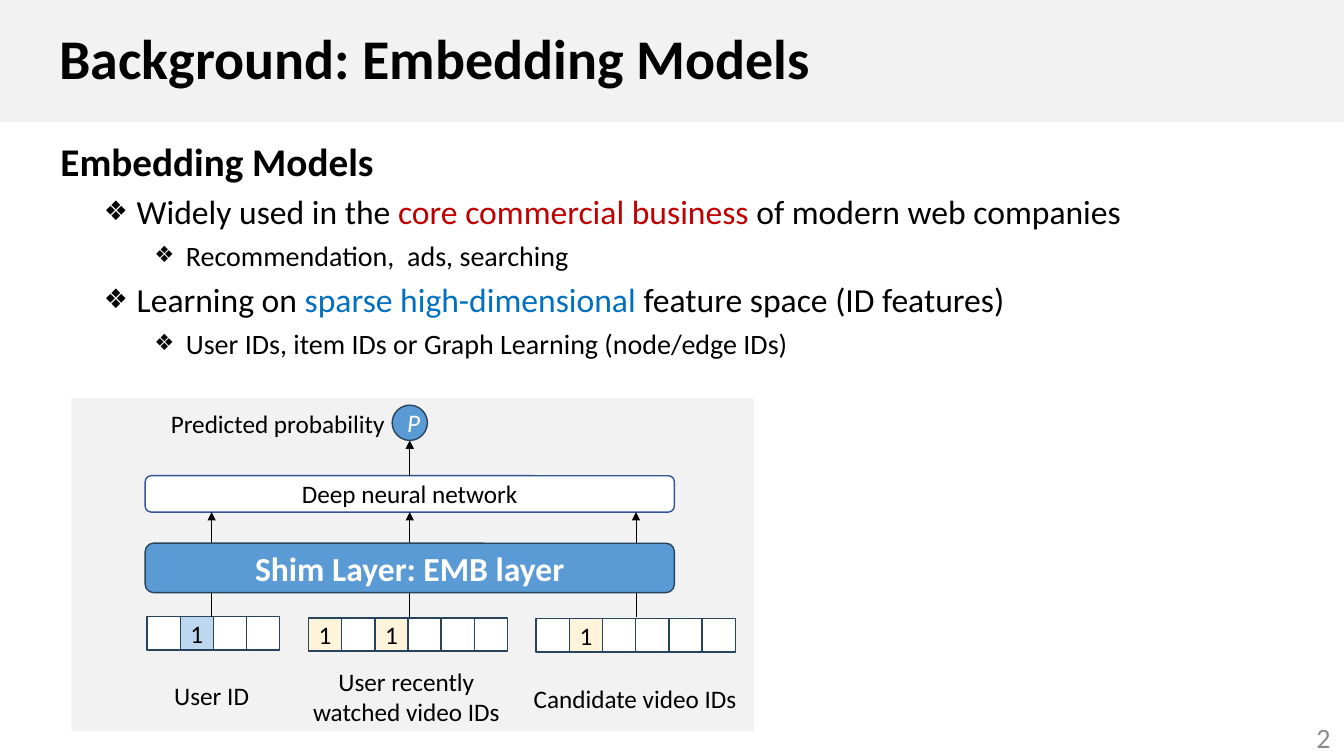
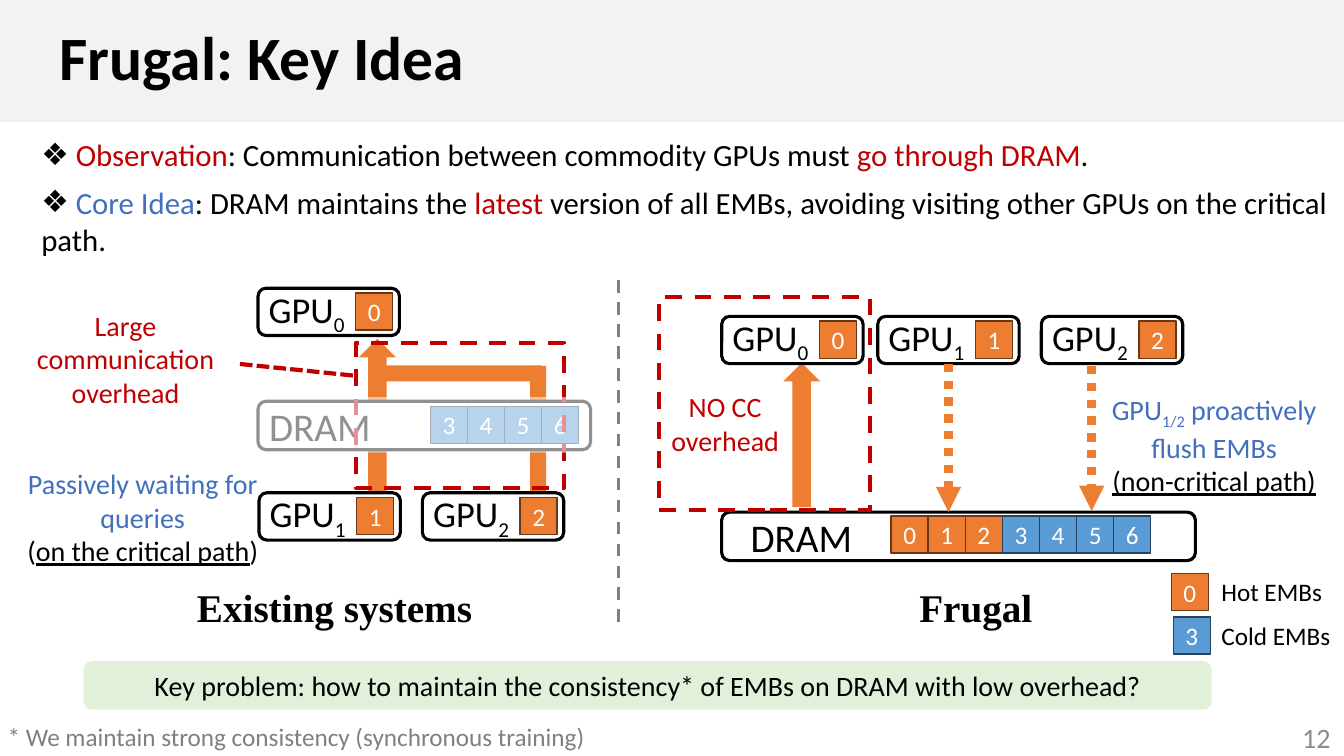
"""Build two slides on embedding models and the Frugal key idea."""
import pptx
import pptx.util
import pptx.dml.color
import pptx.enum.dml
import pptx.enum.shapes
import pptx.enum.text
import pptx.oxml.ns
import lxml.etree

Pt = pptx.util.Pt
qn = pptx.oxml.ns.qn
Kind = pptx.enum.shapes.MSO_SHAPE
Dash = pptx.enum.dml.MSO_LINE
Side = pptx.enum.text.PP_ALIGN
Mid = pptx.enum.text.MSO_ANCHOR
HUES = {
    "black": "000000", "white": "FFFFFF", "band": "F2F2F2", "number": "8C8C8C",
    "gray": "808080", "red": "C00000", "sky": "0070C0", "blue": "426FBE",
    "cold": "5B9BD5", "navy": "28445D", "net": "2F5597", "hot": "ED7D31",
    "brown": "683715", "pale": "BDD7EE", "cream": "FDF4D9", "green": "E2F0D9",
}
RGB = {name: pptx.dml.color.RGBColor.from_string(hue) for name, hue in HUES.items()}


def put(page, kind, x, y, w, h, text="", box=None, fill=None, edge=None, width=1,
        dash=None, size=18, tint="black", font="Calibri", bold=False, ital=False,
        align=Side.CENTER, pad=(7.2, 3.6, 7.2, 3.6), gap=0, lead=1, mid=None):
    """Place a shape, text box or given placeholder and format its text."""
    at = [Pt(n) for n in (x, y, w, h)]
    if box is not None:
        box.left, box.top, box.width, box.height = at
    elif kind is None:
        box = page.shapes.add_textbox(*at)
    else:
        box = page.shapes.add_shape(kind, *at)
        box.shadow.inherit = False
    if fill:
        box.fill.solid()
        box.fill.fore_color.rgb = RGB[fill]
    else:
        box.fill.background()
    if edge:
        box.line.color.rgb = RGB[edge]
        box.line.width = Pt(width)
        box.line.dash_style = dash
    else:
        box.line.fill.background()
    if not text:
        return box
    frame = box.text_frame
    frame.word_wrap = True
    frame.auto_size = pptx.enum.text.MSO_AUTO_SIZE.NONE
    if mid is None:
        mid = kind is not None
    frame.vertical_anchor = Mid.MIDDLE if mid else Mid.TOP
    (frame.margin_left, frame.margin_top,
     frame.margin_right, frame.margin_bottom) = [Pt(n) for n in pad]
    for row, runs in enumerate([text] if isinstance(text, str) else text):
        para = frame.add_paragraph() if row else frame.paragraphs[0]
        para.alignment = align
        para.line_spacing = lead
        para.space_before = Pt(gap if row else 0)
        for part in [runs] if isinstance(runs, str) else runs:
            words, form = (part, {}) if isinstance(part, str) else part
            run = para.add_run()
            run.text = words
            run.font.name = font
            run.font.size = Pt(form.get("size", size))
            run.font.bold = form.get("bold", bold)
            run.font.italic = ital
            run.font.underline = form.get("under", False)
            run.font.color.rgb = RGB[form.get("tint", tint)]
            if form.get("sub"):
                run._r.get_or_add_rPr().set("baseline", "-25000")
    return box


def link(page, x1, y1, x2, y2, tint, width, dash=None, head=False):
    """Draw a straight line, with an arrowhead at its end if asked."""
    line = page.shapes.add_connector(
        pptx.enum.shapes.MSO_CONNECTOR.STRAIGHT, Pt(x1), Pt(y1), Pt(x2), Pt(y2))
    line.line.color.rgb = RGB[tint]
    line.line.width = Pt(width)
    line.line.dash_style = dash
    if head:
        lxml.etree.SubElement(line.line._get_or_add_ln(), qn("a:tailEnd"), type="triangle")
    lxml.etree.SubElement(line._element.spPr, qn("a:effectLst"))
    return line


deck = pptx.Presentation()
deck.slide_width, deck.slide_height = Pt(960), Pt(540)

red, blue, sky = {"tint": "red"}, {"tint": "blue"}, {"tint": "sky"}
small, sub, under = {"size": 20}, {"sub": True}, {"tint": "black", "under": True}
TOP, ITEM, DEEP = (0, 36, 0, None), (1, 85, -18, 80), (2, 121, -18, 80)
WIDE = (0, 0, -13.5, 100)
pages = []
for title, big, num, place, form, rows in [
    ("Background: Embedding Models", 40, "2", (0, 94.3, 901.5, 180),
     {"size": 24, "gap": 5}, [
        (TOP, [("Embedding Models", {"size": 28, "bold": True})]),
        (ITEM, [" Widely used in the ", ("core commercial business ", red),
                "of modern web companies"]),
        (DEEP, [(" Recommendation,  ads, searching", small)]),
        (ITEM, [" Learning on ", ("sparse high-dimensional", sky),
                " feature space (ID features)"]),
        (DEEP, [(" User IDs, item IDs or Graph Learning (node/edge IDs)", small)]),
    ]),
    ("Frugal: Key Idea", 44, "12", (22.3, 93.6, 937.7, 100),
     {"size": 22, "gap": 7.5}, [
        (WIDE, [" ", ("Observation", red),
                ": Communication between commodity GPUs must ",
                ("go through DRAM", red), "."]),
        (WIDE, [" ", ("Core Idea", blue), ": DRAM maintains the ", ("latest", red),
                " version of all EMBs, avoiding visiting other GPUs on the critical path."]),
    ]),
]:
    page = deck.slides.add_slide(deck.slide_layouts[1])
    pages.append(page)
    put(page, None, 0, 0, 960, 87, title, box=page.shapes.title, fill="band", size=big,
        bold=True, align=Side.LEFT, pad=(42.5, 0, 7.2, 0), lead=0.9, mid=True)
    body = put(page, None, *place, [runs for rule, runs in rows],
               box=page.placeholders[1], align=Side.LEFT, **form)
    for para, (rule, runs) in zip(body.text_frame.paragraphs, rows):
        level, left, hang, scale = rule
        para.level = level
        prop = para._p.get_or_add_pPr()
        prop.set("marL", str(Pt(left)))
        prop.set("indent", str(Pt(hang)))
        if scale:
            lxml.etree.SubElement(prop, qn("a:buSzPct"), val=str(scale * 1000))
            lxml.etree.SubElement(prop, qn("a:buChar"), char="❖")
        else:
            lxml.etree.SubElement(prop, qn("a:buNone"))
    put(page, None, 741.6, 512.6, 216, 28.8, num, size=20, tint="number",
        align=Side.RIGHT, mid=True)
model, idea = pages

put(model, Kind.RECTANGLE, 51, 284.5, 487.5, 238, fill="band")
net = put(model, Kind.ROUNDED_RECTANGLE, 103.7, 339.8, 378, 26, "Deep neural network",
          fill="white", edge="net")
CELL = 23.7
for x, y, count, ones, tone in [
    (105.1, 440.6, 4, [1], "pale"),
    (220.4, 441.4, 6, [0, 2], "cream"),
    (383, 442, 6, [1], "cream"),
]:
    for col in range(count):
        on = col in ones
        put(model, Kind.RECTANGLE, x + col * CELL, y, CELL, CELL, "1" if on else "",
            fill=tone if on else "white", edge="navy")
for x in (151.2, 292.7, 454.3):
    line = link(model, x, 440.6, x, 365.8, "black", 0.5, head=True)
    if x == 292.7:
        line.end_connect(net, 2)
link(model, 292.7, 339.8, 292.7, 314.6, "black", 0.5, head=True).begin_connect(net, 0)
put(model, Kind.OVAL, 280.1, 289.4, 25.2, 25.2, "P", fill="cold", edge="navy",
    tint="white", ital=True)
put(model, Kind.ROUNDED_RECTANGLE, 103.7, 388, 378, 35.3, "Shim Layer: EMB layer",
    fill="cold", edge="navy", size=24, tint="white", bold=True)
for x, y, w, h, text in [
    (113.8, 288, 169.2, 29, "Predicted probability"),
    (114.5, 482.4, 73.4, 29, "User ID"),
    (214.7, 472.3, 151.2, 51, ["User recently", "watched video IDs"]),
    (371.5, 484.6, 164.2, 29, "Candidate video IDs"),
]:
    put(model, None, x, y, w, h, text)

for kind, x, y, w, h in [
    (Kind.UP_ARROW, 559.4, 259.2, 26.6, 103),
    (Kind.RECTANGLE, 378.7, 261.4, 11.5, 89.3),
    (Kind.UP_ARROW, 256.3, 241.9, 26.6, 109.4),
    (Kind.RECTANGLE, 265.3, 261, 121.7, 11.5),
]:
    put(idea, kind, x, y, w, h, fill="hot")
for x, y, w, left in [(184.3, 286.6, 237.6, 6.3), (515.5, 365.8, 338.4, 19)]:
    put(idea, Kind.ROUNDED_RECTANGLE, x, y, w, 34.6, "DRAM", fill="white", edge="black",
        width=2.25, size=28, align=Side.LEFT, pad=(left, 0, 0, 0))

SIDE = 26.5
cells = [(836.6, 409.7, 0), (838, 440.6, 3)]
cells += [(307.4 + SIDE * n, 290.2, n + 3) for n in range(4)]
cells += [(636.5 + SIDE * n, 368.6, n) for n in range(7)]
gpus = []
for x, y, n in [(184.3, 205.9, 0), (185, 352, 1), (301.7, 352, 2),
                (515.5, 226, 0), (627, 226, 1), (743.8, 226, 2)]:
    gpus.append(put(idea, Kind.ROUNDED_RECTANGLE, x, y, 101, 33.8,
                    [["GPU", (str(n), sub)]], edge="black", width=2.25, size=26,
                    align=Side.LEFT, pad=(6, 0, 0, 0)))
    cells.append((x + 69.8, y + 3.4, n))
for x, y, n in cells:
    fill, edge = ("hot", "brown") if n < 3 else ("cold", "navy")
    put(idea, Kind.RECTANGLE, x, y, SIDE, SIDE, str(n), fill=fill, edge=edge, tint="white")

for x, y, w, h in [(254.2, 244.8, 149, 103.7), (470.9, 212.4, 150.5, 152)]:
    put(idea, Kind.RECTANGLE, x, y, w, h, edge="red", width=3, dash=Dash.DASH)
link(idea, 442, 200.2, 442, 449.3, "gray", 2.25, Dash.DASH)
link(idea, 171.4, 260, 255.6, 268.6, "red", 3, Dash.SQUARE_DOT)
flush = link(idea, 677.5, 259.8, 677.5, 365.8, "hot", 6, Dash.ROUND_DOT, True)
flush.begin_connect(gpus[4], 2)
link(idea, 779.8, 261.4, 779.8, 365, "hot", 6, Dash.ROUND_DOT, True)
veil = put(idea, Kind.RECTANGLE, 171.4, 283.7, 259.2, 39.6, fill="white")
tone = veil._element.spPr.find(".//" + qn("a:srgbClr"))
lxml.etree.SubElement(tone, qn("a:alpha"), val="57000")

for x, y, w, h, tint, text in [
    (450, 275, 136, 55, "red", "NO CC overhead"),
    (6.5, 216.7, 166.3, 80, "red", "Large communication overhead"),
    (5, 329.8, 194, 80, "blue",
     ["Passively waiting for queries",
      [("(", {"tint": "black"}), ("on the critical path", under), (")", {"tint": "black"})]]),
    (775, 276.5, 184.6, 80, "blue",
     [["GPU", ("1/2", sub), " proactively flush EMBs"], [("(non-critical path)", under)]]),
]:
    put(idea, None, x, y, w, h, text, size=20, tint=tint)
for x, w, text in [(132.5, 213, "Existing systems"), (647, 100, "Frugal")]:
    put(idea, None, x, 413.3, w, 41, text, size=28, font="Times New Roman", bold=True)
for y, text in [(408.2, "Hot EMBs"), (439.2, "Cold EMBs")]:
    put(idea, None, 865.4, y, 94.6, 29, text, align=Side.LEFT)
put(idea, Kind.ROUNDED_RECTANGLE, 59.8, 472.3, 805.7, 34.6,
    "Key problem: how to maintain the consistency* of EMBs on DRAM with low overhead?",
    fill="green", size=20, pad=(7.2, 2.9, 7.2, 2.9))
put(idea, None, 0, 512, 423, 28, "* We maintain strong consistency (synchronous training)",
    tint="gray", pad=(0, 3.6, 0, 3.6))

deck.save("out.pptx")
